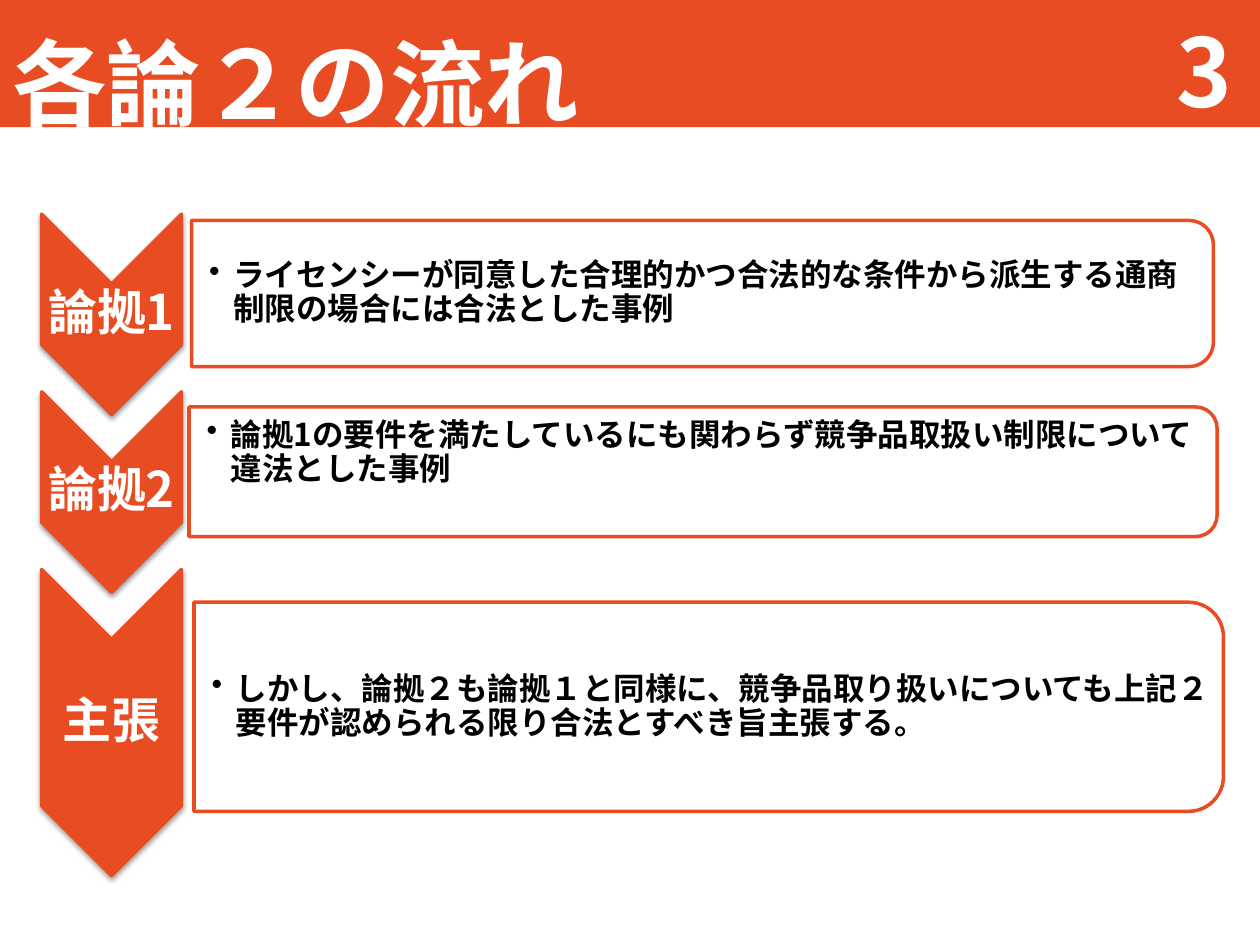
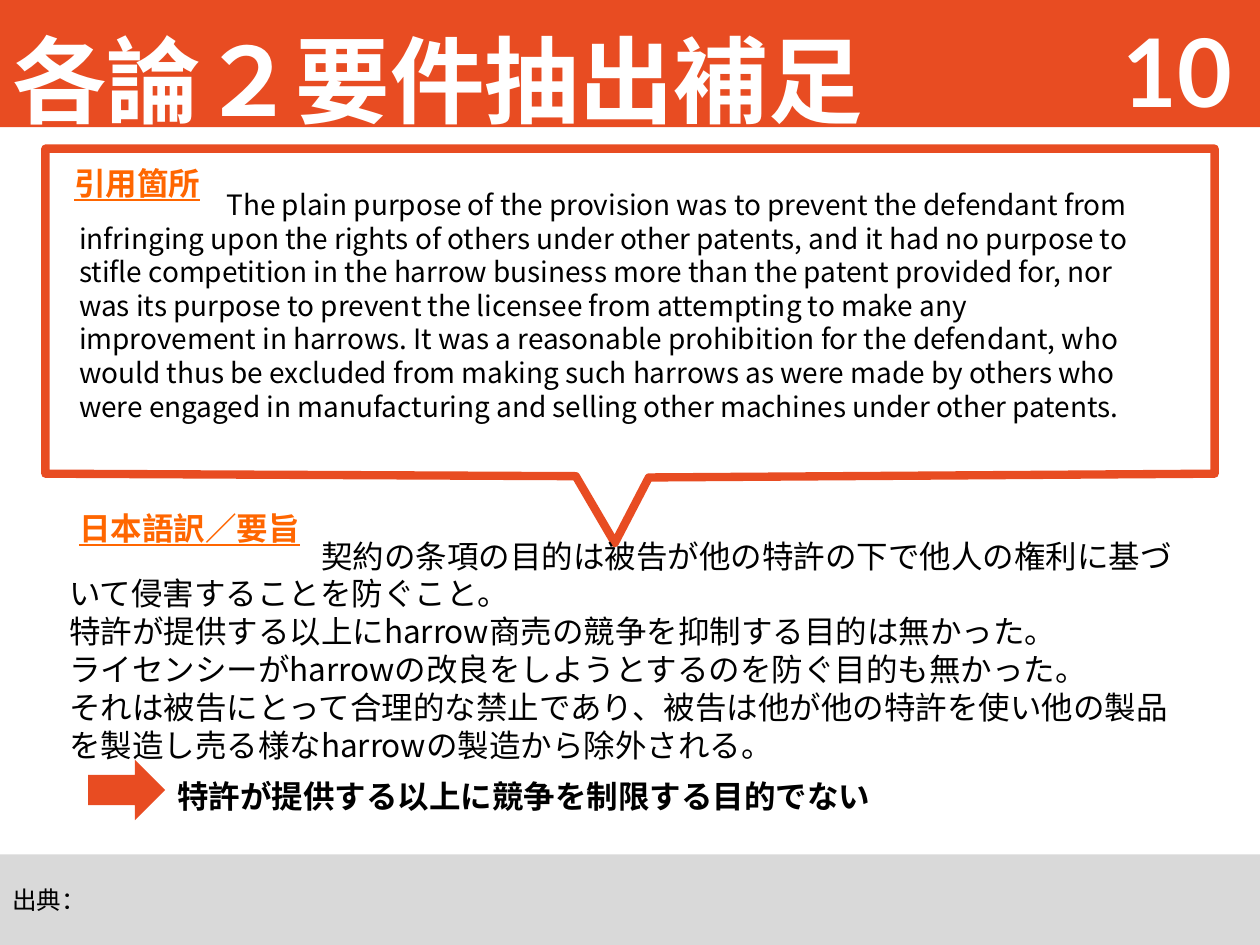
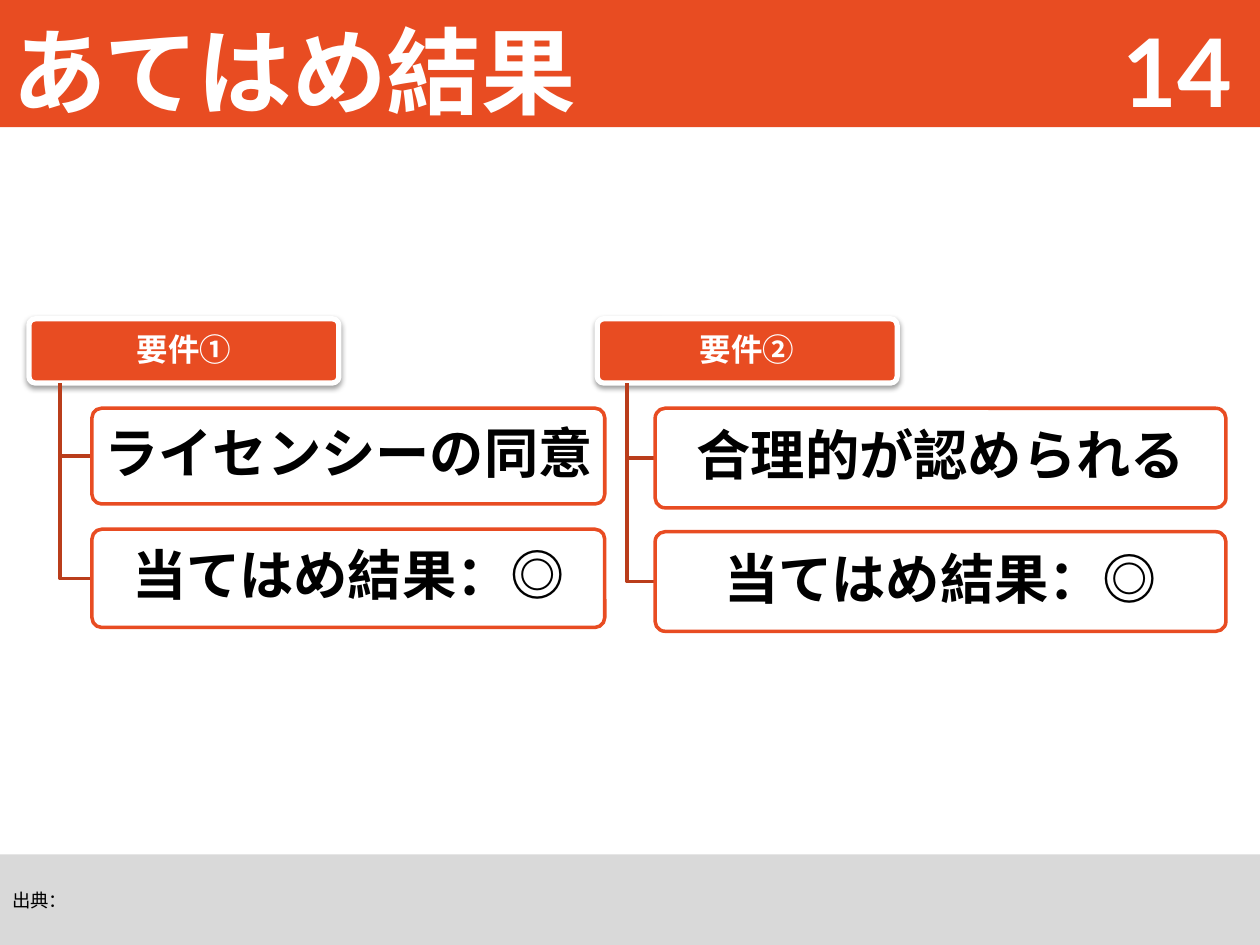
from lxml.etree import SubElement
from pptx import Presentation
from pptx.dml.color import RGBColor
from pptx.enum.shapes import MSO_SHAPE
from pptx.enum.text import MSO_ANCHOR, PP_ALIGN
from pptx.oxml.ns import qn
from pptx.util import Inches, Pt

ORANGE = RGBColor(0xE8, 0x4C, 0x22)
RUST = RGBColor(0xBA, 0x3D, 0x1B)
HEADING = RGBColor(0xFF, 0x66, 0x00)
GREY = RGBColor(0xD9, 0xD9, 0xD9)
WHITE = RGBColor(0xFF, 0xFF, 0xFF)
BLACK = RGBColor(0, 0, 0)
LATIN = "Lato"
JAPANESE = "Noto Sans CJK JP"
DEFAULT_INSETS = (0.1, 0.05, 0.1, 0.05)


class Deck:
    """Holds the presentation, its style and the current slide."""

    def __init__(self):
        self.presentation = Presentation()
        self.presentation.slide_width = Inches(10)
        self.presentation.slide_height = Inches(7.5)
        self.slide = None

    def new_slide(self, title, number, title_top=0, number_font=LATIN):
        layout = self.presentation.slide_layouts[6]
        self.slide = self.presentation.slides.add_slide(layout)
        self.shape(MSO_SHAPE.RECTANGLE, 0, 0, 10, 1.01, ORANGE)
        self.text(0, title_top, 10, 1.25, [title], 54, WHITE, True,
                  font=LATIN, anchor=MSO_ANCHOR.MIDDLE)
        self.text(7.55, 0.35, 2.33, 0.4, [str(number)], 54, WHITE, True, font=number_font,
                  anchor=MSO_ANCHOR.MIDDLE, align=PP_ALIGN.RIGHT)

    def footer(self, size):
        band = self.shape(MSO_SHAPE.RECTANGLE, 0, 6.78, 10, 0.72, GREY)
        self.add_lines(band, ["出典："], size, anchor=MSO_ANCHOR.MIDDLE)

    def paint(self, shape, fill=None, line=None, width=2, alpha=None):
        shape.shadow.inherit = False
        if fill is None:
            shape.fill.background()
        else:
            shape.fill.solid()
            shape.fill.fore_color.rgb = fill
            if alpha:
                color = shape._element.spPr.find(qn("a:solidFill"))[0]
                SubElement(color, qn("a:alpha"), val=str(alpha * 1000))
        if line is None:
            shape.line.fill.background()
        else:
            shape.line.color.rgb = line
            shape.line.width = Pt(width)

    def shape(self, kind, left, top, width, height, fill=None, line=None,
              line_width=2, alpha=None, turned=False):
        """Draw a shape in the visible box; a turned one is rotated by 90 degrees."""
        if turned:
            left, top = left + (width - height) / 2, top + (height - width) / 2
            width, height = height, width
        shape = self.slide.shapes.add_shape(
            kind, Inches(left), Inches(top), Inches(width), Inches(height))
        shape.rotation = 90 if turned else 0
        self.paint(shape, fill, line, line_width, alpha)
        return shape

    def drop_shadow(self, shape):
        effects = shape._element.spPr.find(qn("a:effectLst"))
        shadow = SubElement(effects, qn("a:outerShdw"), blurRad=str(Pt(3.1)),
                            dist=str(Pt(1.6)), dir="5400000", rotWithShape="0")
        color = SubElement(shadow, qn("a:srgbClr"), val="000000")
        SubElement(color, qn("a:alpha"), val="38000")

    def outline(self, points, color, width, close=False):
        corners = [(Inches(x), Inches(y)) for x, y in points]
        builder = self.slide.shapes.build_freeform(*corners[0])
        builder.add_line_segments(corners[1:], close=close)
        self.paint(builder.convert_to_shape(), line=color, width=width)

    def add_lines(self, shape, lines, size, color=BLACK, bold=False, underline=False,
                  font=JAPANESE, align=PP_ALIGN.LEFT, anchor=MSO_ANCHOR.TOP,
                  insets=DEFAULT_INSETS, spacing=None, after=0, first_indent=0,
                  bullet=False):
        frame = shape.text_frame
        frame.word_wrap = True
        frame.vertical_anchor = anchor
        (frame.margin_left, frame.margin_top,
         frame.margin_right, frame.margin_bottom) = [Inches(inset) for inset in insets]
        for index, line in enumerate(lines):
            paragraph = frame.add_paragraph() if index else frame.paragraphs[0]
            paragraph.alignment = align
            paragraph.space_after = Pt(after)
            if spacing:
                paragraph.line_spacing = spacing
            properties = paragraph._p.get_or_add_pPr()
            if bullet:
                properties.set("marL", str(Inches(0.19)))
                properties.set("indent", str(-Inches(0.19)))
                SubElement(properties, qn("a:buChar"), char="•")
            elif first_indent and index == 0:
                properties.set("indent", str(Inches(first_indent)))
            run = paragraph.add_run()
            run.text = line
            run.font.name = font
            run.font.size = Pt(size)
            run.font.bold = bold
            run.font.underline = underline
            run.font.color.rgb = color
            latin = run._r.get_or_add_rPr().find(qn("a:latin"))
            east_asian = SubElement(run._r.get_or_add_rPr(), qn("a:ea"), typeface=JAPANESE)
            latin.addnext(east_asian)

    def text(self, left, top, width, height, lines, size, *style, **options):
        box = self.slide.shapes.add_textbox(
            Inches(left), Inches(top), Inches(width), Inches(height))
        self.add_lines(box, lines, size, *style, **options)

    def heading(self, left, top, width, words):
        self.text(left, top, width, 0.4, [words], 18, HEADING, True, underline=True)

    def chevron(self, top, height, label):
        left, width = 0.33, 1.11
        shape = self.shape(MSO_SHAPE.CHEVRON, left, top, width, height,
                           ORANGE, ORANGE, turned=True)
        self.drop_shadow(shape)
        self.text(left, top + width / 2, width, height - width, [label], 28, WHITE, True,
                  align=PP_ALIGN.CENTER, anchor=MSO_ANCHOR.MIDDLE,
                  insets=(0.02,) * 4, spacing=0.9, after=9.8)

    def panel(self, left, top, width, height, words, bottom_inset=0.01):
        self.shape(MSO_SHAPE.ROUND_2_SAME_RECTANGLE, left, top, width, height,
                   WHITE, ORANGE, alpha=90, turned=True)
        corner = height * 0.05
        self.text(left, top + corner, width - corner, height - 2 * corner, [words], 18,
                  BLACK, True, anchor=MSO_ANCHOR.MIDDLE, spacing=0.9, bullet=True,
                  insets=(0.14, 0.01, 0.01, bottom_inset))

    def card(self, left, top, width, height, words, size, color, fill, line,
             line_width=2, alpha=None):
        shape = self.shape(MSO_SHAPE.ROUNDED_RECTANGLE, left, top, width, height,
                           fill, line, line_width, alpha)
        shape.adjustments[0] = 0.1
        self.add_lines(shape, [words], size, color, True, align=PP_ALIGN.CENTER,
                       anchor=MSO_ANCHOR.MIDDLE, insets=(0.06, 0.04, 0.06, 0.04),
                       spacing=0.9, after=size * 0.35)
        return shape

    def requirement(self, left, head_width, label, card_left, card_width, cards):
        """A header with a branch to each card; cards are (top, height, words)."""
        head_top, head_height = 2.53, 0.51
        head = self.card(left, head_top, head_width, head_height, label, 18,
                         WHITE, ORANGE, WHITE, 3)
        self.drop_shadow(head)
        trunk, start = left + head_width * 0.1, head_top + head_height
        for top, height, words in cards:
            middle = top + height / 2
            self.outline([(trunk, start), (trunk, middle), (card_left, middle)], RUST, 2)
            self.card(card_left, top, card_width, height, words, 31,
                      BLACK, WHITE, ORANGE, alpha=90)


deck = Deck()

# Slide 1: flow of the argument
deck.new_slide("各論２の流れ", 3, 0.02, JAPANESE)
deck.chevron(1.7, 1.59, "論拠1")
deck.panel(1.52, 1.75, 8.11, 1.16,
           "ライセンシーが同意した合理的かつ合法的な条件から派生する通商制限の場合には合法とした事例")
deck.chevron(3.11, 1.59, "論拠2")
deck.panel(1.5, 3.23, 8.16, 1.03,
           "論拠1の要件を満たしているにも関わらず競争品取扱い制限について違法とした事例", 0.31)
deck.chevron(4.52, 2.43, "主張")
deck.panel(1.54, 4.78, 8.17, 1.66,
           "しかし、論拠２も論拠１と同様に、競争品取り扱いについても上記２要件が認められる限り"
           "合法とすべき旨主張する。")

# Slide 2: quotation and its summary
deck.new_slide("各論２要件抽出補足", 10)
deck.outline([(0.36, 3.76), (4.57, 3.78), (4.88, 4.31), (5.15, 3.79), (9.64, 3.76),
              (9.64, 1.18), (0.36, 1.18)], ORANGE, 4.75, close=True)
deck.heading(0.53, 3.99, 2.07, "日本語訳／要旨")
deck.heading(0.49, 1.25, 8.68, "引用箇所")
deck.shape(MSO_SHAPE.RIGHT_ARROW, 0.7, 6.03, 0.61, 0.48, ORANGE)
deck.footer(14)
deck.text(0.53, 1.44, 8.68, 2.26, [
    "The plain purpose of the provision was to prevent the defendant from infringing upon "
    "the rights of others under other patents, and it had no purpose to stifle competition "
    "in the harrow business more than the patent provided for, nor was its purpose to "
    "prevent the licensee from attempting to make any improvement in harrows. It was a "
    "reasonable prohibition for the defendant, who would thus be excluded from making such "
    "harrows as were made by others who were engaged in manufacturing and selling other "
    "machines under other patents."], 16, first_indent=1.17)
deck.text(0.45, 4.21, 9.11, 1.92, [
    "契約の条項の目的は被告が他の特許の下で他人の権利に基づいて侵害することを防ぐこと。",
    "特許が提供する以上にharrow商売の競争を抑制する目的は無かった。",
    "ライセンシーがharrowの改良をしようとするのを防ぐ目的も無かった。",
    "それは被告にとって合理的な禁止であり、被告は他が他の特許を使い他の製品を製造し"
    "売る様なharrowの製造から除外される。"], 18, first_indent=2)
deck.text(1.31, 6.12, 6.47, 0.4, ["特許が提供する以上に競争を制限する目的でない"],
          18, BLACK, True)

# Slide 3: result for each requirement
deck.new_slide("あてはめ結果", 14, -0.07)
RESULT = "当てはめ結果：◎"
deck.requirement(0.23, 2.46, "要件①", 0.73, 4.07,
                 [(3.24, 0.76, "ライセンシーの同意"), (4.2, 0.78, RESULT)])
deck.requirement(4.74, 2.38, "要件②", 5.2, 4.53,
                 [(3.24, 0.79, "合理的が認められる"), (4.22, 0.79, RESULT)])
deck.footer(10.5)

deck.presentation.save("out.pptx")
